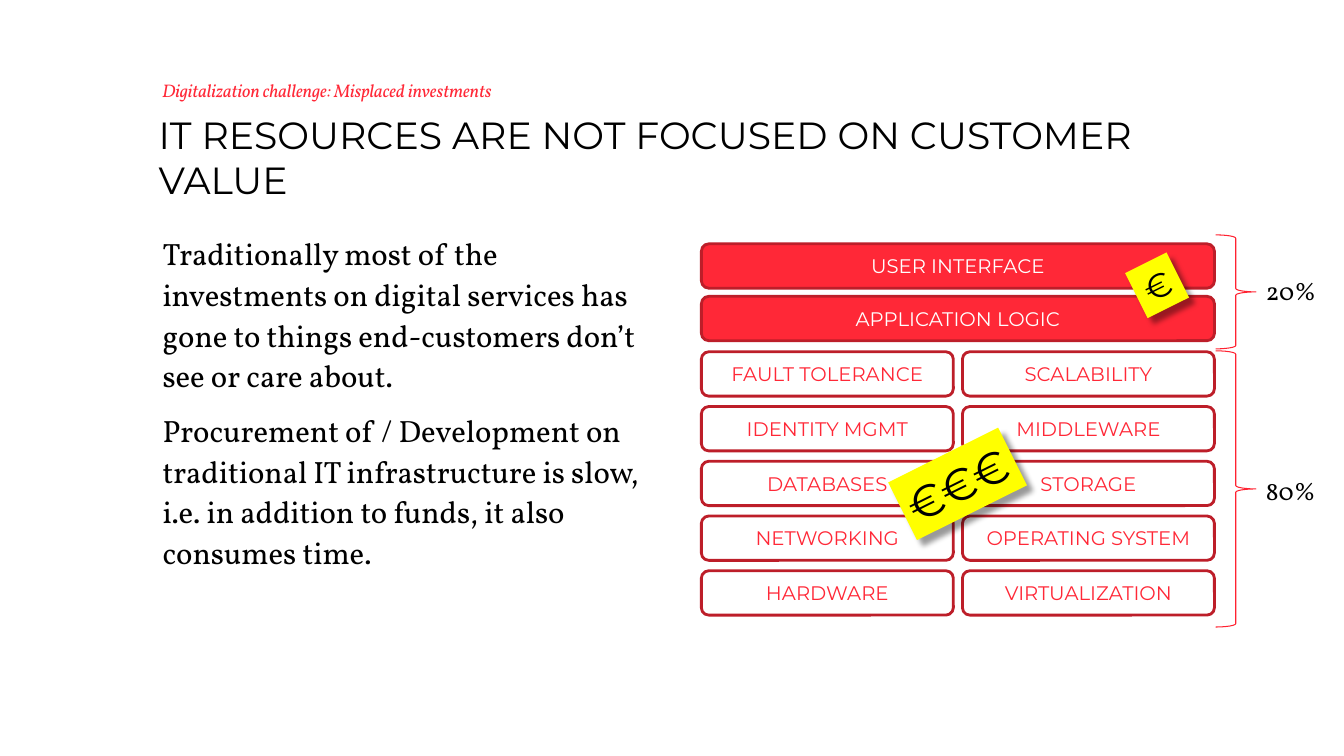
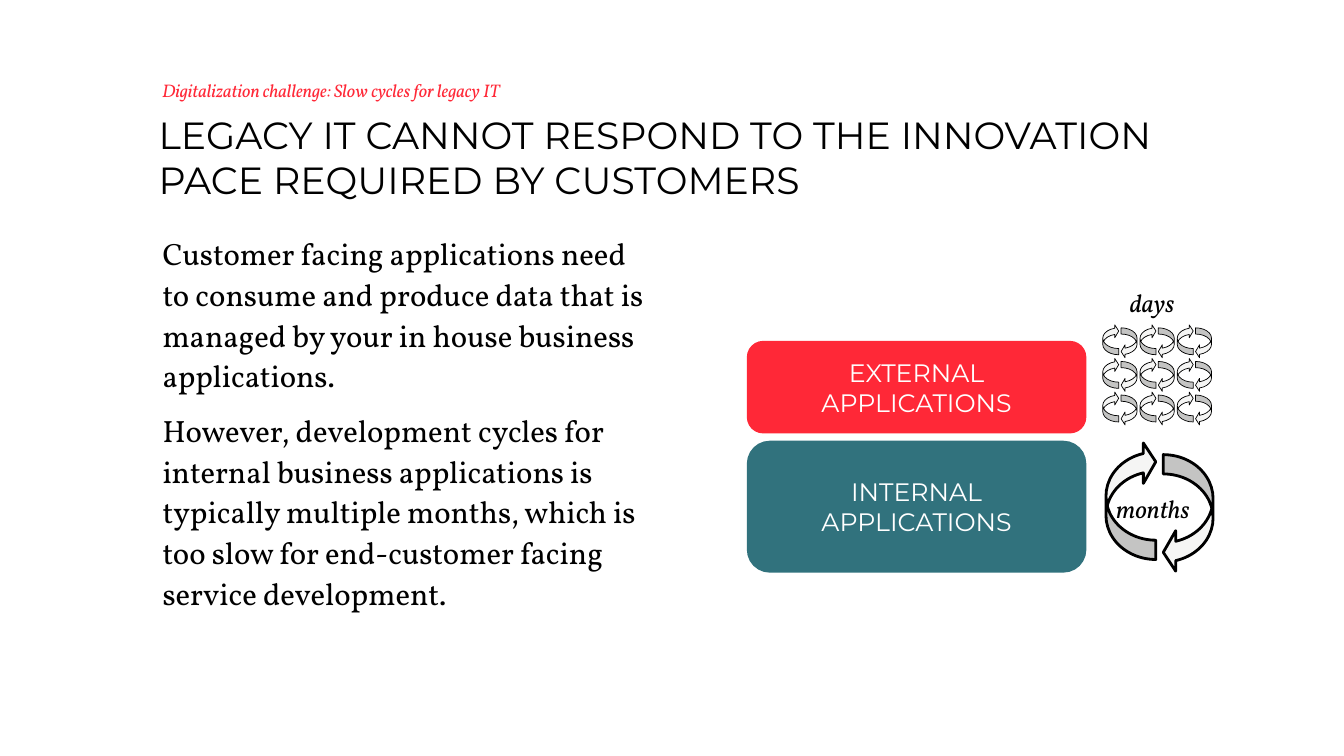
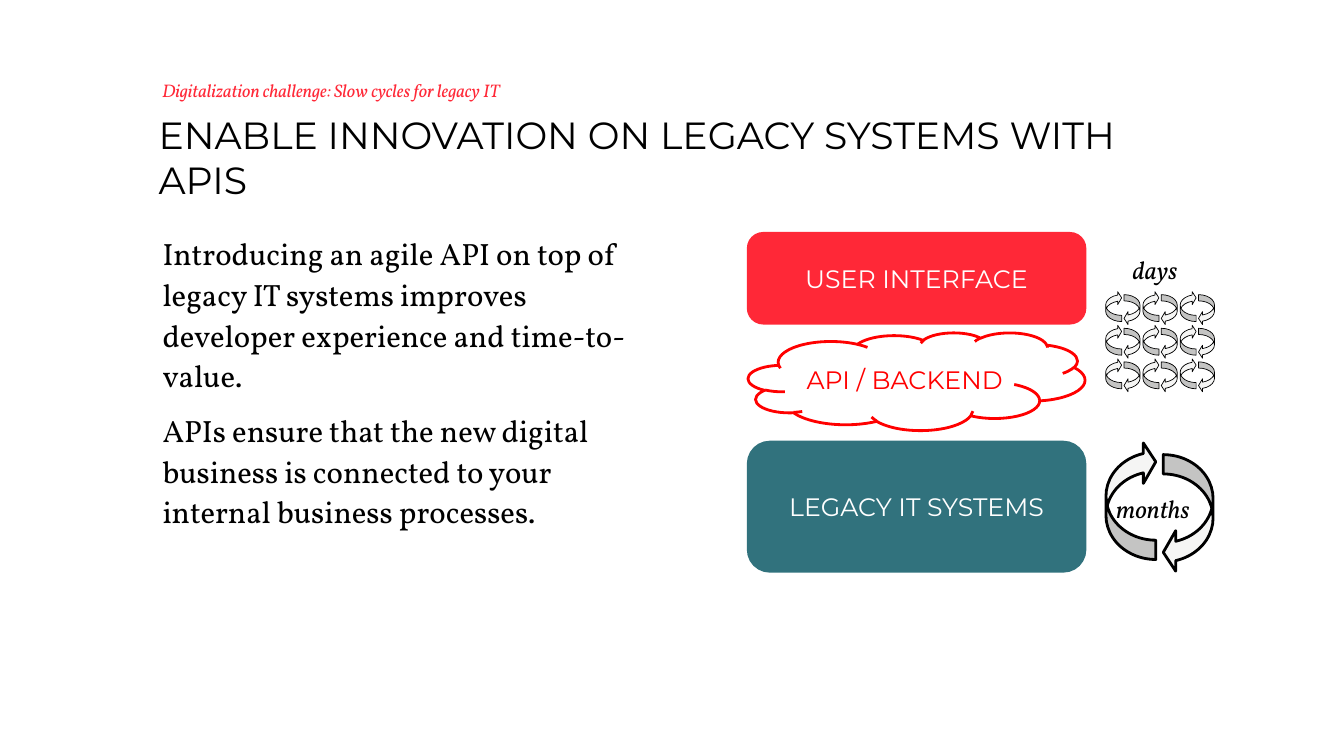
from lxml.etree import SubElement
from pptx import Presentation
from pptx.dml.color import RGBColor
from pptx.enum.shapes import MSO_SHAPE
from pptx.enum.text import MSO_ANCHOR, PP_ALIGN
from pptx.oxml.ns import qn
from pptx.util import Pt

# Shared style
SANS, SERIF = "Montserrat", "Vollkorn"
RED, DARK_RED, BRACE_RED, CLOUD_RED = "FF2837", "BD1E29", "FF2231", "FF0000"
TEAL, YELLOW, PALE = "31727D", "FFFF00", "F5F5F4"
BLACK, WHITE = "000000", "FFFFFF"

# Places shared by the two application stacks
STACK_LEFT, STACK_WIDTH = 534.5, 240.5
FRONT_HEIGHT = 64.1
SLOW_CYCLE_LEFT = 790


def color(value):
    return RGBColor.from_string(value)


def write(frame, lines, font, size, ink, italic=False, align=PP_ALIGN.LEFT,
          spacing=None, gap=0):
    for index, line in enumerate(lines):
        para = frame.add_paragraph() if index else frame.paragraphs[0]
        para.text = line
        para.alignment = align
        para.line_spacing = spacing
        if index and gap:
            para.space_before = Pt(gap)
        para.font.name = font
        para.font.size = Pt(size)
        para.font.italic = italic
        para.font.color.rgb = color(ink)


def add_text(page, place, lines, font, size, ink=BLACK, anchor=MSO_ANCHOR.TOP,
             wrap=True, **style):
    box = page.shapes.add_textbox(*map(Pt, place))
    box.text_frame.word_wrap = wrap
    box.text_frame.vertical_anchor = anchor
    write(box.text_frame, lines, font, size, ink, **style)


def add_shape(shapes, kind, place, fill=None, line=None, weight=2):
    shape = shapes.add_shape(kind, *map(Pt, place))
    shape.shadow.inherit = False
    if fill:
        shape.fill.solid()
        shape.fill.fore_color.rgb = color(fill)
    else:
        shape.fill.background()
    if line:
        shape.line.color.rgb = color(line)
        shape.line.width = Pt(weight)
    else:
        shape.line.fill.background()
    return shape


def add_block(page, place, lines, size, fill, line, ink=WHITE,
              kind=MSO_SHAPE.ROUNDED_RECTANGLE):
    block = add_shape(page.shapes, kind, place, fill, line)
    block.text_frame.vertical_anchor = MSO_ANCHOR.MIDDLE
    write(block.text_frame, lines, SANS, size, ink, align=PP_ALIGN.CENTER)


def add_sticker(page, place, text, size):
    sticker = add_shape(page.shapes, MSO_SHAPE.RECTANGLE, place, YELLOW)
    sticker.rotation = 333.5
    # No side margins, so that the signs stay on one line
    frame = sticker.text_frame
    frame.margin_left = frame.margin_right = Pt(0)
    frame.word_wrap = False
    frame.vertical_anchor = MSO_ANCHOR.MIDDLE
    write(frame, [text], SANS, size, BLACK, align=PP_ALIGN.CENTER)
    # Soft shadow to the lower right
    effects = sticker._element.spPr.find(qn("a:effectLst"))
    shadow = SubElement(effects, qn("a:outerShdw"), blurRad=str(Pt(4)),
                        dist=str(Pt(6)), dir=str(45 * 60000), algn="tl",
                        rotWithShape="0")
    tint = SubElement(shadow, qn("a:srgbClr"), val=BLACK)
    SubElement(tint, qn("a:alpha"), val="40000")


def add_cycle(page, left, top, width, height, weight):
    """Two curved arrows that chase each other."""
    group = page.shapes.add_group_shape()
    arrow_width, arrow_height = 0.465 * width, 0.9 * height
    for turn, x, y in ((180, left, top),
                       (0, left + width - arrow_width, top + height - arrow_height)):
        arrow = add_shape(group.shapes, MSO_SHAPE.CURVED_LEFT_ARROW,
                          (x, y, arrow_width, arrow_height), PALE, BLACK, weight)
        arrow.rotation = turn
        for index, value in enumerate((0.388, 0.812, 0.25)):
            arrow.adjustments[index] = value


def add_fast_cycles(page, left, top):
    for column in range(3):
        for row in range(3):
            add_cycle(page, left + 26.6 * column, top + 24 * row, 24.5, 24, 0.5)
    add_text(page, (left + 12.2, top - 30.2, 54, 28.8), ["days"], SERIF, 18,
             italic=True)


def add_legacy_block(page, text):
    add_block(page, (STACK_LEFT, 315.8, STACK_WIDTH, 92.2), [text], 18, TEAL, TEAL)
    add_cycle(page, SLOW_CYCLE_LEFT, 315.4, 76.5, 93.6, 2)
    add_text(page, (SLOW_CYCLE_LEFT, 348.8, 78.5, 28.8), ["months"], SERIF, 18,
             wrap=False, italic=True)


def add_front_block(page, top, lines):
    add_block(page, (STACK_LEFT, top, STACK_WIDTH, FRONT_HEIGHT), lines, 18, RED, RED)


def add_page(deck, topic, title, body):
    page = deck.slides.add_slide(deck.slide_layouts[6])
    add_text(page, (108.7, 55.5, 760.3, 20.2), ["Digitalization challenge: " + topic],
             SERIF, 13, RED, MSO_ANCHOR.BOTTOM, italic=True)
    add_text(page, (106.2, 76, 760.3, 70.6), [title], SANS, 27)
    add_text(page, (109, 161.8, 368.6, 285.8), body, SERIF, 22, spacing=1.1, gap=10)
    return page


def build_investments(deck):
    page = add_page(deck, "Misplaced investments",
                    "IT RESOURCES ARE NOT FOCUSED ON CUSTOMER VALUE",
                    ["Traditionally most of the investments on digital services has gone "
                     "to things end-customers don’t see or care about.",
                     "Procurement of / Development on traditional IT infrastructure is "
                     "slow, i.e. in addition to funds, it also consumes time."])
    left, width, half, height = 501, 366.5, 180, 31.7
    # Layers the customer sees
    for row, name in enumerate(("USER INTERFACE", "APPLICATION LOGIC")):
        add_block(page, (left, 174.2 + 37.5 * row, width, height), [name], 14,
                  RED, DARK_RED)
    # Layers the customer does not see
    hidden_layers = (("FAULT TOLERANCE", "SCALABILITY"),
                     ("IDENTITY MGMT", "MIDDLEWARE"),
                     ("DATABASES", "STORAGE"),
                     ("NETWORKING", "OPERATING SYSTEM"),
                     ("HARDWARE", "VIRTUALIZATION"))
    for row, names in enumerate(hidden_layers):
        for column, name in enumerate(names):
            add_block(page, (left + column * (width - half), 251.3 + 39.1 * row,
                             half, height), [name], 14, None, DARK_RED, RED)
    # Money
    add_sticker(page, (810, 185.8, 33.1, 36), "€", 24)
    add_sticker(page, (640.1, 322.6, 87.8, 46.1), "€€€", 32)
    # Shares
    for share, text_top, top, brace_height in (("20%", 193, 167.8, 81.4),
                                               ("80%", 336.2, 250.6, 197.3)):
        add_text(page, (897.1, text_top, 51.5, 28.8), [share], SERIF, 18, wrap=False)
        add_shape(page.shapes, MSO_SHAPE.RIGHT_BRACE,
                  (868.3, top, 28.8, brace_height), None, BRACE_RED, 0.75)


def build_slow_cycles(deck):
    page = add_page(deck, "Slow cycles for legacy IT",
                    "LEGACY IT CANNOT RESPOND TO THE INNOVATION PACE REQUIRED BY CUSTOMERS",
                    ["Customer facing applications need to consume and produce data that "
                     "is managed by your in house business applications.",
                     "However, development cycles for internal business applications is "
                     "typically multiple months, which is too slow for end-customer "
                     "facing service development."])
    add_front_block(page, 244.5, ["EXTERNAL", "APPLICATIONS"])
    add_legacy_block(page, "INTERNAL APPLICATIONS")
    add_fast_cycles(page, 787.7, 231.8)


def build_apis(deck):
    page = add_page(deck, "Slow cycles for legacy IT",
                    "ENABLE INNOVATION ON LEGACY SYSTEMS WITH APIS",
                    ["Introducing an agile API on top of legacy IT systems improves "
                     "developer experience and time-to-value.",
                     "APIs ensure that the new digital business is connected to your "
                     "internal business processes."])
    add_front_block(page, 166.7, ["USER INTERFACE"])
    add_block(page, (STACK_LEFT, 237.6, STACK_WIDTH, 69.8), ["API / BACKEND"], 18,
              WHITE, CLOUD_RED, CLOUD_RED, MSO_SHAPE.CLOUD)
    add_legacy_block(page, "LEGACY IT SYSTEMS")
    add_fast_cycles(page, 789.8, 208.1)


def main():
    deck = Presentation()
    deck.slide_width, deck.slide_height = Pt(960), Pt(540)
    build_investments(deck)
    build_slow_cycles(deck)
    build_apis(deck)
    deck.save("out.pptx")


if __name__ == "__main__":
    main()
